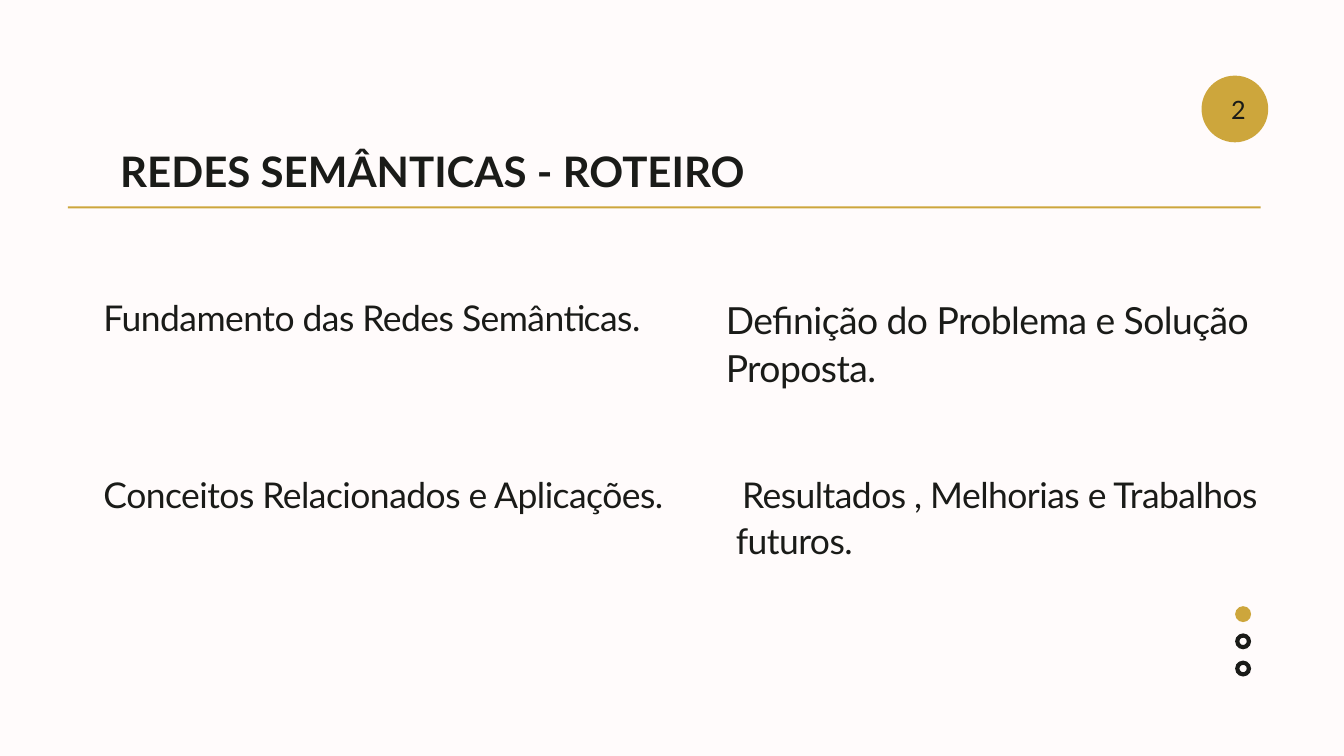
from dataclasses import dataclass

from pptx import Presentation
from pptx import util as u
from pptx.dml.color import RGBColor
from pptx.enum import shapes, text

WIDTH, HEIGHT = u.Inches(20), u.Inches(11.25)
COLUMNS, ROWS = 80, 45
TITLE_ONLY = 5


@dataclass(frozen=True)
class Theme:
    font: str = "Lato"
    background: RGBColor = RGBColor(0xFF, 0xFB, 0xFB)
    gold: RGBColor = RGBColor(0xCD, 0xA6, 0x3C)
    ink: RGBColor = RGBColor(0x1A, 0x1B, 0x18)
    title_size: float = 45
    title_leading: float = 1.5
    large_size: float = 40
    body_size: float = 38
    number_size: float = 27
    leading: float = 1.3
    body_tracking: float = -0.6
    number_tracking: float = -0.4


class SlideBuilder:
    """Draws on one slide; boxes are left, top, width, height in grid columns and rows."""

    def __init__(self, slide, theme):
        self.slide = slide
        self.theme = theme
        fill = slide.background.fill
        fill.solid()
        fill.fore_color.rgb = theme.background

    def place(self, box):
        left, top, width, height = box
        column, row = WIDTH / COLUMNS, HEIGHT / ROWS
        return [round(n) for n in (left * column, top * row, width * column, height * row)]

    def set_words(self, shape, words, size, leading, tracking=0, bold=False, centred=False,
                  indent=0):
        frame = shape.text_frame
        frame.text = words
        frame.word_wrap = True
        frame.auto_size = text.MSO_AUTO_SIZE.NONE
        frame.vertical_anchor = text.MSO_ANCHOR.TOP
        frame.margin_left = frame.margin_top = frame.margin_right = frame.margin_bottom = 0
        paragraph = frame.paragraphs[0]
        paragraph.alignment = text.PP_ALIGN.CENTER if centred else text.PP_ALIGN.LEFT
        paragraph.line_spacing = u.Pt(size * leading)
        if indent:
            properties = paragraph._p.get_or_add_pPr()
            properties.set("marL", "0")
            properties.set("indent", str(u.Pt(indent)))
        for run in paragraph.runs:
            run.font.name = self.theme.font
            run.font.size = u.Pt(size)
            run.font.bold = bold
            run.font.color.rgb = self.theme.ink
            if tracking:
                run._r.get_or_add_rPr().set("spc", str(round(tracking * 100)))

    def title(self, words, box):
        shape = self.slide.shapes.title
        shape.left, shape.top, shape.width, shape.height = self.place(box)
        self.set_words(shape, words, self.theme.title_size, self.theme.title_leading,
                       bold=True, centred=True)

    def topic(self, words, box, size, indent=0):
        shape = self.slide.shapes.add_textbox(*self.place(box))
        self.set_words(shape, words, size, self.theme.leading, self.theme.body_tracking,
                       indent=indent)

    def number(self, words, box):
        shape = self.slide.shapes.add_textbox(*self.place(box))
        self.set_words(shape, words, self.theme.number_size, self.theme.leading,
                       self.theme.number_tracking, centred=True)

    def figure(self, kind, box, colour):
        shape = self.slide.shapes.add_shape(kind, *self.place(box))
        shape.shadow.inherit = False
        shape.fill.solid()
        shape.fill.fore_color.rgb = colour
        shape.line.fill.background()
        return shape

    def page_dots(self, count, active, left, top, size, pitch):
        for index in range(count):
            box = (left, top + index * pitch, size, size)
            if index == active:
                self.figure(shapes.MSO_SHAPE.OVAL, box, self.theme.gold)
            else:
                ring = self.figure(shapes.MSO_SHAPE.DONUT, box, self.theme.ink)
                ring.adjustments[0] = 0.27


def main():
    presentation = Presentation()
    presentation.slide_width, presentation.slide_height = WIDTH, HEIGHT
    theme = Theme()
    slide = presentation.slides.add_slide(presentation.slide_layouts[TITLE_ONLY])
    builder = SlideBuilder(slide, theme)

    builder.title("REDES SEMÂNTICAS - ROTEIRO", (4.04, 7.92, 43.4, 3.56))
    builder.figure(shapes.MSO_SHAPE.RECTANGLE, (4.04, 12.28, 71, 0.13), theme.gold)
    builder.figure(shapes.MSO_SHAPE.OVAL, (71.52, 4.5, 3.97, 3.97), theme.gold)
    builder.number("2", (73.28, 5.48, 0.72, 1.88))

    left, upper, lower = 6.16, 17.44, 27.96
    builder.topic("Fundamento das Redes Semânticas.", (left, upper, 36.4, 2.68), theme.body_size)
    builder.topic("Conceitos Relacionados e Aplicações.", (left, lower, 36.4, 2.68),
                  theme.body_size)
    builder.topic("Definição do Problema e Solução Proposta.", (43.2, upper, 36.04, 5.64),
                  theme.large_size)
    builder.topic("Resultados , Melhorias e Trabalhos futuros.", (43.8, lower, 32.64, 5.36),
                  theme.body_size, indent=6.7)

    builder.page_dots(count=3, active=0, left=73.52, top=36.08, size=0.95, pitch=1.62)
    presentation.save("out.pptx")


if __name__ == "__main__":
    main()
